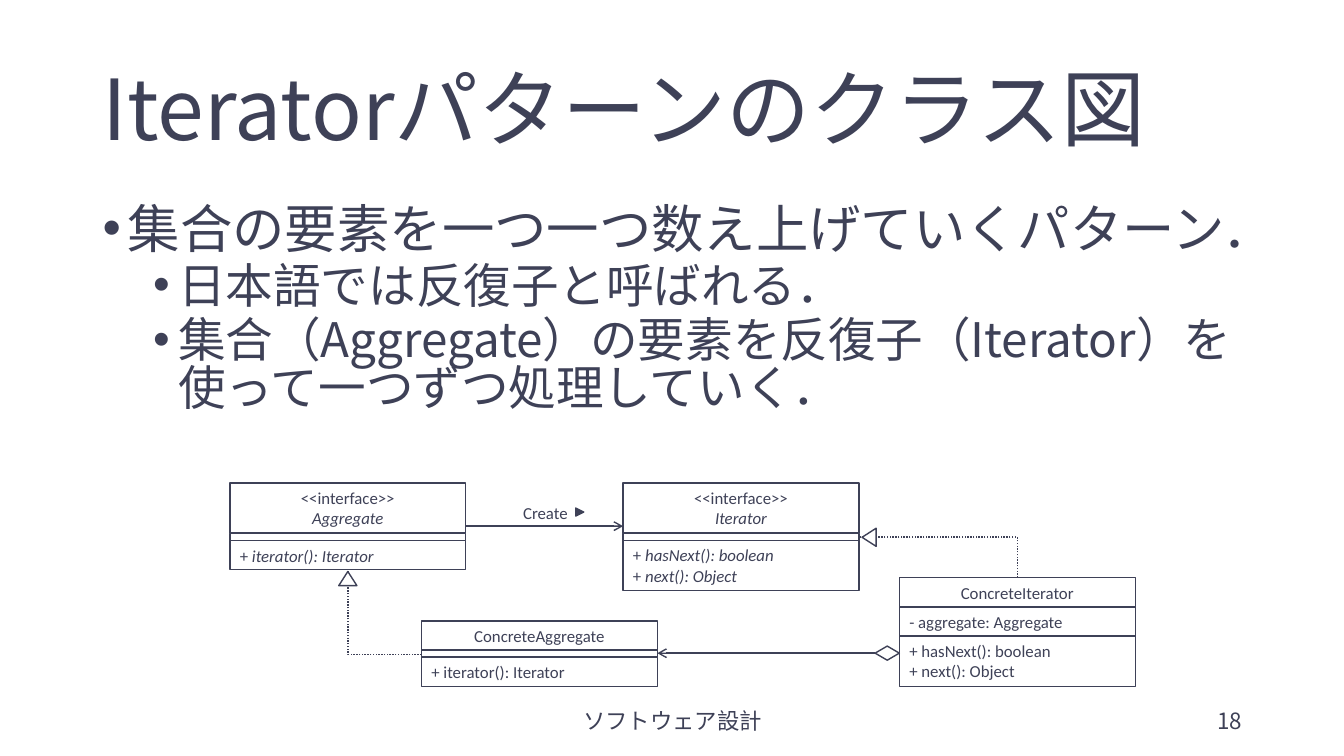
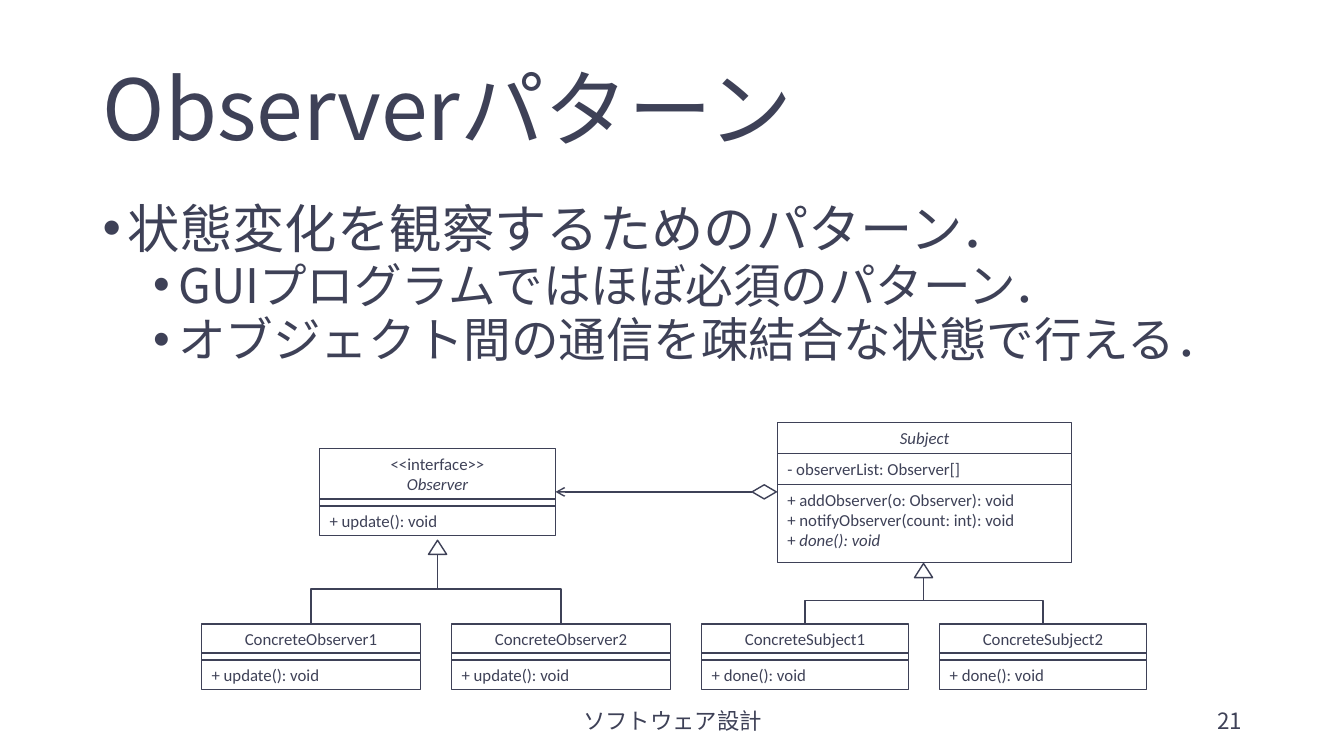
from lxml.etree import SubElement
from pptx import Presentation
from pptx.dml.color import RGBColor
from pptx.enum.dml import MSO_LINE
from pptx.enum.shapes import MSO_CONNECTOR, MSO_SHAPE
from pptx.enum.text import MSO_ANCHOR, PP_ALIGN
from pptx.oxml.ns import qn
from pptx.util import Inches, Pt

INK = RGBColor(0x3E, 0x41, 0x57)
PAPER = RGBColor(0xFF, 0xFF, 0xFF)
TEXT_FONT = "Noto Sans CJK JP"
DIAGRAM_FONT = "Calibri"
TITLE_ONLY = 5
DIVIDER = 0.07


def style_run(r, size, name, italic=None):
    r.font.size = Pt(size)
    r.font.name = name
    r.font.color.rgb = INK
    r.font.italic = italic
    SubElement(r.font._element, qn("a:ea")).set("typeface", name)


def style_paragraph(p, size, name, align=PP_ALIGN.LEFT):
    p.alignment = align
    for r in p.runs:
        style_run(r, size, name)


def add_label(s, x, y, w, h, text, size, name, align=PP_ALIGN.LEFT,
              anchor=MSO_ANCHOR.TOP, wrap=True):
    tf = s.shapes.add_textbox(Inches(x), Inches(y), Inches(w), Inches(h)).text_frame
    tf.word_wrap = wrap
    tf.vertical_anchor = anchor
    tf.text = text
    style_paragraph(tf.paragraphs[0], size, name, align)


def add_bullets(s, height, lines):
    box = s.shapes.add_textbox(Inches(0.92), Inches(2), Inches(11.5), Inches(height))
    tf = box.text_frame
    tf.word_wrap = True
    for i, line in enumerate(lines):
        p = tf.paragraphs[0] if i == 0 else tf.add_paragraph()
        p.text = line
        p.level = min(i, 1)
        p.line_spacing = 0.83
        p.space_before = Pt(5 if i else 0)
        pPr = p._p.get_or_add_pPr()
        pPr.set("marL", str(Inches(0.75 if i else 0.25)))
        pPr.set("indent", str(Inches(-0.25)))
        SubElement(pPr, qn("a:buFont")).set("typeface", "Arial")
        SubElement(pPr, qn("a:buChar")).set("char", "•")
        style_paragraph(p, 34 if i else 37.4, TEXT_FONT)


def add_pattern_slide(prs, title, number, body_height, lines):
    s = prs.slides.add_slide(prs.slide_layouts[TITLE_ONLY])
    sp = s.shapes.title
    sp.left, sp.top = Inches(0.92), Inches(0.4)
    sp.width, sp.height = Inches(11.5), Inches(1.45)
    tf = sp.text_frame
    tf.text = title
    tf.vertical_anchor = MSO_ANCHOR.MIDDLE
    tf.paragraphs[0].line_spacing = 0.9
    style_paragraph(tf.paragraphs[0], 60, TEXT_FONT)
    add_bullets(s, body_height, lines)
    add_label(s, 4.42, 6.95, 4.5, 0.4, "ソフトウェア設計", 16, TEXT_FONT,
              PP_ALIGN.CENTER, MSO_ANCHOR.MIDDLE)
    add_label(s, 9.42, 6.95, 3, 0.4, number, 16, TEXT_FONT,
              PP_ALIGN.RIGHT, MSO_ANCHOR.MIDDLE)
    return s


def add_figure(shapes, kind, x, y, w, h, fill=PAPER, rotation=0):
    sp = shapes.add_shape(kind, Inches(x), Inches(y), Inches(w), Inches(h))
    sp.shadow.inherit = False
    sp.fill.solid()
    sp.fill.fore_color.rgb = fill
    sp.line.color.rgb = INK
    sp.line.width = Pt(1)
    sp.rotation = rotation
    return sp


def add_compartment(shapes, x, y, w, h, lines, align):
    tf = add_figure(shapes, MSO_SHAPE.RECTANGLE, x, y, w, h).text_frame
    tf.word_wrap = True
    tf.vertical_anchor = MSO_ANCHOR.TOP
    for i, line in enumerate(lines):
        p = tf.paragraphs[0] if i == 0 else tf.add_paragraph()
        p.alignment = align
        plain, _, slanted = line.partition("|")
        for text, italic in ((plain, False), (slanted, True)):
            if text:
                r = p.add_run()
                r.text = text
                style_run(r, 12, DIAGRAM_FONT, italic)


def compartment_height(lines):
    return 0.08 + 0.21 * len(lines) if lines else DIVIDER


def add_class(s, x, y, w, names, fields, methods, heights=None):
    parts = (names, fields, methods)
    heights = heights or [compartment_height(lines) for lines in parts]
    aligns = (PP_ALIGN.CENTER, PP_ALIGN.LEFT, PP_ALIGN.LEFT)
    shapes = s.shapes.add_group_shape().shapes
    for lines, h, align in zip(parts, heights, aligns):
        add_compartment(shapes, x, y, w, h, lines, align)
        y += h


def add_line(s, kind, x1, y1, x2, y2, arrow=False, dotted=False):
    line = s.shapes.add_connector(kind, Inches(x1), Inches(y1), Inches(x2), Inches(y2))
    line.line.color.rgb = INK
    line.line.width = Pt(1)
    if dotted:
        line.line.dash_style = MSO_LINE.ROUND_DOT
    spPr = line._element.spPr
    if arrow:
        SubElement(spPr.find(qn("a:ln")), qn("a:tailEnd")).set("type", "arrow")
    SubElement(spPr, qn("a:effectLst"))
    return line


def add_elbow(s, start, end, turn, flip=None, preset="bentConnector3", dotted=False):
    (x1, y1), (x2, y2) = start, end
    w, h = abs(x2 - x1), abs(y2 - y1)
    if turn in (90, 270):
        w, h = h, w
    cx, cy = (x1 + x2) / 2, (y1 + y2) / 2
    line = add_line(s, MSO_CONNECTOR.ELBOW, cx - w / 2, cy - h / 2,
                    cx + w / 2, cy + h / 2, dotted=dotted)
    spPr = line._element.spPr
    spPr.find(qn("a:prstGeom")).set("prst", preset)
    xfrm = spPr.find(qn("a:xfrm"))
    xfrm.set("rot", str(turn * 60000))
    if flip:
        xfrm.set(flip, "1")


def add_realization(s, start, end, turn, flip=None):
    add_elbow(s, start, end, turn, flip, "bentConnector2", dotted=True)


def add_triangle(s, x, y, rotation=0):
    add_figure(s.shapes, MSO_SHAPE.ISOSCELES_TRIANGLE, x, y, 0.18, 0.14,
               rotation=rotation)


def add_aggregation(s, x, y, target_x):
    add_line(s, MSO_CONNECTOR.STRAIGHT, x, y, target_x, y, arrow=True)
    add_figure(s.shapes, MSO_SHAPE.DIAMOND, x, y - 0.07, 0.24, 0.14)


def add_subclasses(s, parent_x, parent_y, first_x, step, width, name, method):
    add_triangle(s, parent_x - 0.09, parent_y)
    for i, (turn, flip) in enumerate(((90, None), (270, "flipH"))):
        x = first_x + i * step
        add_elbow(s, (parent_x, parent_y + 0.14), (x + width / 2, 6.19), turn, flip)
        add_class(s, x, 6.19, width, [f"{name}{i + 1}"], [], [method])


def build_iterator(prs):
    s = add_pattern_slide(prs, "Iteratorパターンのクラス図", "18", 2.65, [
        "集合の要素を一つ一つ数え上げていくパターン．",
        "日本語では反復子と呼ばれる．",
        "集合（Aggregate）の要素を反復子（Iterator）を使って一つずつ処理していく．",
    ])
    w = 2.34
    add_class(s, 2.28, 4.79, w, ["<<interface>>", "|Aggregate"], [],
              ["+ |iterator(): Iterator"])
    add_class(s, 6.18, 4.79, w, ["<<interface>>", "|Iterator"], [],
              ["+ |hasNext(): boolean", "+ |next(): Object"])
    add_class(s, 4.18, 6.16, w, ["ConcreteAggregate"], [], ["+ iterator(): Iterator"])
    add_class(s, 8.92, 5.73, w, ["ConcreteIterator"], ["- aggregate: Aggregate"],
              ["+ hasNext(): boolean", "+ next(): Object"])
    add_realization(s, (10.09, 5.73), (8.53, 5.33), 270, "flipV")
    add_realization(s, (4.18, 6.49), (3.45, 5.66), 180)
    add_triangle(s, 3.36, 5.67)
    add_triangle(s, 8.53, 5.26, 270)
    add_aggregation(s, 8.68, 6.48, 6.52)
    add_line(s, MSO_CONNECTOR.STRAIGHT, 4.62, 5.22, 6.18, 5.22, arrow=True)
    add_label(s, 5.09, 4.94, 0.67, 0.3, "Create", 12, DIAGRAM_FONT, wrap=False)
    add_figure(s.shapes, MSO_SHAPE.ISOSCELES_TRIANGLE, 5.71, 5.04, 0.08, 0.08, INK, 90)


def build_observer(prs):
    s = add_pattern_slide(prs, "Observerパターン", "21", 2.31, [
        "状態変化を観察するためのパターン．",
        "GUIプログラムではほぼ必須のパターン．",
        "オブジェクト間の通信を疎結合な状態で行える．",
    ])
    add_class(s, 3.17, 4.45, 2.34, ["<<interface>>", "|Observer"], [],
              ["+ update(): void"])
    add_class(s, 7.71, 4.19, 2.92, ["|Subject"], ["- observerList: Observer[]"],
              ["+ addObserver(o: Observer): void",
               "+ notifyObserver(count: int): void",
               "+ |done(): void"], (0.31, 0.31, 0.77))
    add_aggregation(s, 7.46, 4.88, 5.51)
    add_subclasses(s, 4.34, 5.36, 2, 2.48, 2.17, "ConcreteObserver", "+ update(): void")
    add_subclasses(s, 9.16, 5.59, 6.96, 2.36, 2.05, "ConcreteSubject", "+ done(): void")


def main():
    prs = Presentation()
    prs.slide_width, prs.slide_height = Inches(13.33), Inches(7.5)
    build_iterator(prs)
    build_observer(prs)
    prs.save("out.pptx")


if __name__ == "__main__":
    main()
